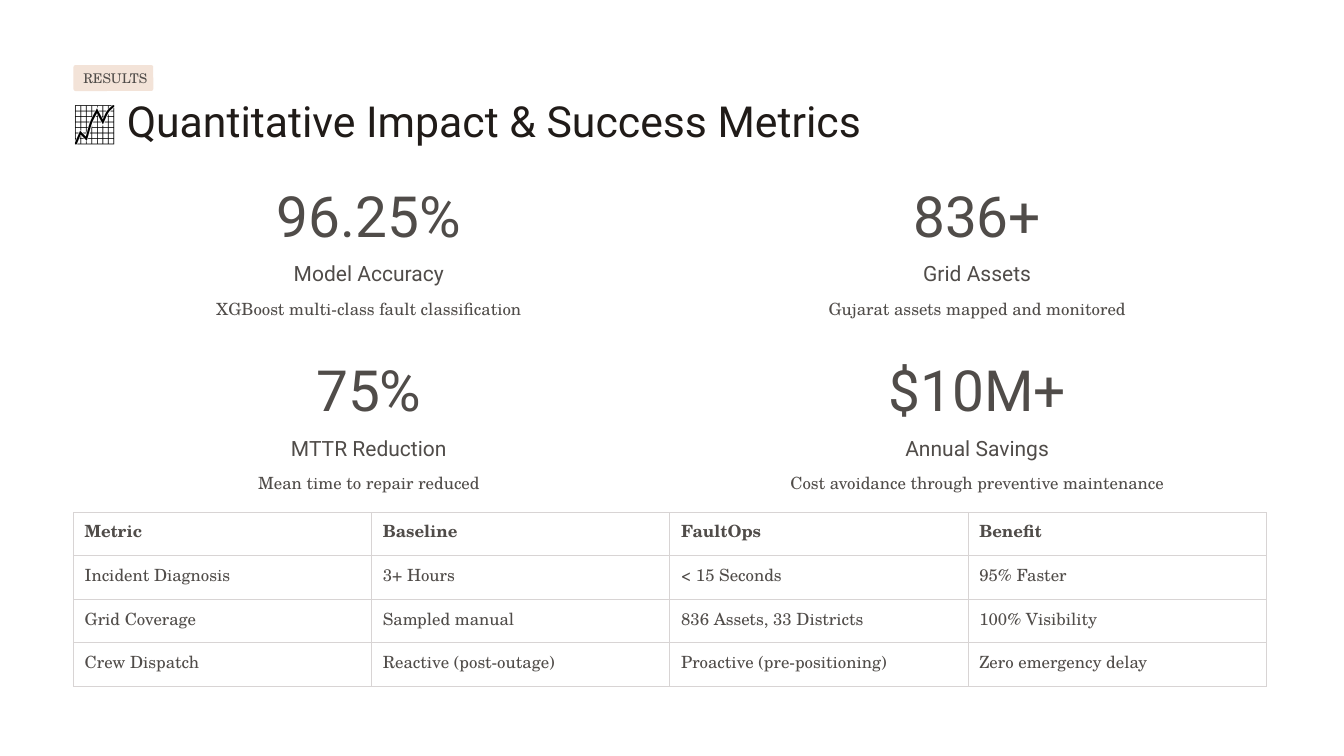
from lxml.etree import SubElement
from pptx import Presentation
from pptx.dml.color import RGBColor
from pptx.enum.shapes import MSO_SHAPE as Shape
from pptx.enum.text import MSO_ANCHOR as Anchor, PP_ALIGN as Align
from pptx.oxml.ns import qn
from pptx.util import Emu, Pt

SANS, SERIF = "Roboto", "TeX Gyre Schola"
INK, BLACK, HEADING = "504C49", "000000", "201B18"
WHITE, PEACH, RULE = "FFFFFF", "F3E3D8", "D8D4D4"

STATS = [
    [("96.25%", "Model Accuracy", "XGBoost multi-class fault classification"),
     ("836+", "Grid Assets", "Gujarat assets mapped and monitored")],
    [("75%", "MTTR Reduction", "Mean time to repair reduced"),
     ("$10M+", "Annual Savings", "Cost avoidance through preventive maintenance")],
]
ROWS = [
    ("Metric", "Baseline", "FaultOps", "Benefit"),
    ("Incident Diagnosis", "3+ Hours", "< 15 Seconds", "95% Faster"),
    ("Grid Coverage", "Sampled manual", "836 Assets, 33 Districts", "100% Visibility"),
    ("Crew Dispatch", "Reactive (post-outage)", "Proactive (pre-positioning)",
     "Zero emergency delay"),
]


def px(length):
    """Turn whole pixels into EMU."""
    return Emu(length * 9525)


def paint(fill, color):
    """Give a fill one solid hex colour."""
    fill.solid()
    fill.fore_color.rgb = RGBColor.from_string(color)


def write(frame, *spans, size, font, leading, align=Align.LEFT, bold=False, inset=0):
    """Fill a text frame with one paragraph of (text, colour) spans."""
    frame.word_wrap = True
    frame.margin_left = frame.margin_right = px(inset)
    frame.margin_top = frame.margin_bottom = px(inset)
    para = frame.paragraphs[0]
    para.alignment = align
    para.line_spacing = Pt(leading)
    for text, color in spans:
        span = para.add_run()
        span.text = text
        span.font.size = Pt(size)
        span.font.name = font
        span.font.bold = bold
        paint(span.font.fill, color)


def add_text(page, left, top, width, height, *spans, **style):
    """Place a text box and write its spans."""
    box = page.shapes.add_textbox(px(left), px(top), px(width), px(height))
    write(box.text_frame, *spans, **style)


def add_header(page, left, top, width):
    """Place the section tag and the title below it."""
    tag = page.shapes.add_shape(Shape.ROUNDED_RECTANGLE, px(left), px(top), px(114), px(37))
    tag.adjustments[0] = 0.08
    tag.shadow.inherit = False
    tag.line.fill.background()
    paint(tag.fill, PEACH)
    add_text(page, left + 14, top + 8, 180, 23, ("RESULTS", INK),
             size=14.3, font=SERIF, leading=16.4)
    add_text(page, left, top + 40, width, 88, ("📈", BLACK),
             (" Quantitative Impact & Success Metrics", HEADING),
             size=45.8, font=SANS, leading=57.1)


def add_stat(page, left, top, width, figure, label, caption):
    """Place one centred figure with its label and caption."""
    lines = [(0, 71, figure, 60.8, SANS, 60.5),
             (96, 41, label, 22.5, SANS, 28.1),
             (145, 41, caption, 18, SERIF, 26.4)]
    for offset, height, text, size, font, leading in lines:
        add_text(page, left, top + offset, width, height, (text, INK),
                 size=size, font=font, leading=leading, align=Align.CENTER)


def add_stats(page, left, top, column_step, row_step, width):
    """Lay the figures out on a grid."""
    for row, stats in enumerate(STATS):
        for column, stat in enumerate(stats):
            add_stat(page, left + column * column_step, top + row * row_step, width, *stat)


def add_borders(cell):
    """Draw a thin line on all four sides of a cell."""
    properties = cell._tc.get_or_add_tcPr()
    for side in ("a:lnL", "a:lnR", "a:lnT", "a:lnB"):
        line = SubElement(properties, qn(side), w=str(Pt(1)))
        fill = SubElement(line, qn("a:solidFill"))
        SubElement(fill, qn("a:srgbClr"), val=RULE)


def add_comparison(page, left, top, width, height):
    """Place the table that compares the baseline with the new system."""
    table = page.shapes.add_table(len(ROWS), len(ROWS[0]), px(left), px(top),
                                  px(width), px(height)).table
    table.horz_banding = False
    for r, texts in enumerate(ROWS):
        table.rows[r].height = px(height // len(ROWS))
        for c, text in enumerate(texts):
            cell = table.cell(r, c)
            add_borders(cell)
            cell.fill.background()
            cell.vertical_anchor = Anchor.MIDDLE
            cell.margin_left = cell.margin_right = px(16)
            cell.margin_top = cell.margin_bottom = px(16)
            write(cell.text_frame, (text, INK), size=18, font=SERIF,
                  leading=21.6, bold=r == 0, inset=16)


def main():
    """Build the results slide and save the deck."""
    deck = Presentation()
    deck.slide_width, deck.slide_height = px(1920), px(1080)
    page = deck.slides.add_slide(deck.slide_layouts[6])
    paint(page.background.fill, WHITE)
    add_header(page, 105, 93, 1713)
    add_stats(page, 105, 275, column_step=869, row_step=249, width=844)
    add_comparison(page, 105, 732, 1704, 248)
    deck.save("out.pptx")


if __name__ == "__main__":
    main()
